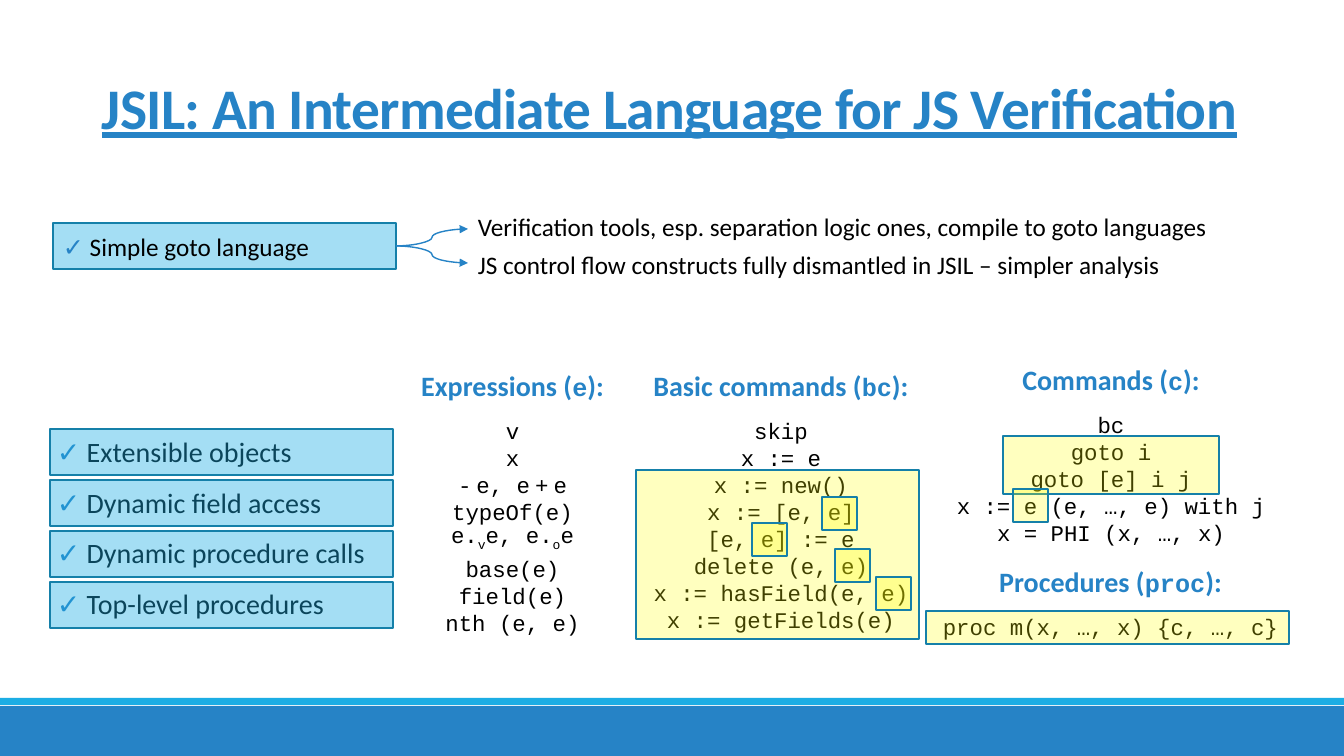
from lxml import etree
from pptx import Presentation
from pptx import util as u
from pptx.dml.color import RGBColor
from pptx.enum import shapes, text
from pptx.oxml import ns

SCALE = u.Inches(1) / 100.8
BLUE = RGBColor(0x26, 0x83, 0xC6)
CYAN = RGBColor(0x1C, 0xAD, 0xE4)
EDGE = RGBColor(0x15, 0x80, 0xA9)
YELLOW = RGBColor(0xFF, 0xFF, 0x00)
BLACK = RGBColor(0, 0, 0)
SANS, MONO = "Calibri", "Courier New"
CODE_LINE = u.Pt(19.3)
SUB, THIN = "subscript", "narrow space"

EXPRESSIONS = [
    "v", "x",
    [("-", None), (" ", THIN), ("e, e", None), (" ", THIN), ("+", None),
     (" ", THIN), ("e", None)],
    "typeOf(e)",
    [("e.", None), ("v", SUB), ("e, e.", None), ("o", SUB), ("e", None)],
    "base(e)", "field(e)", "nth (e, e)",
]
BASIC_COMMANDS = [
    "skip", "x := e", "x := new()", "x := [e, e]", "[e, e] := e",
    "delete (e, e)", "x := hasField(e, e)", "x := getFields(e)",
]
COMMANDS = ["bc", "goto i", "goto [e] i j", "x := e (e, …, e) with j",
            "x = PHI (x, …, x)"]
PROCEDURES = ["proc m(x, …, x) {c, …, c}"]
FEATURES = ["Extensible objects", "Dynamic field access",
            "Dynamic procedure calls", "Top-level procedures"]
NOTES = [
    "Verification tools, esp. separation logic ones, compile to goto languages",
    "JS control flow constructs fully dismantled in JSIL – simpler analysis",
]


def emu(*pixels):
    """Turn pixel lengths into EMU."""
    return [round(p * SCALE) for p in pixels]


def add_box(s, box, fill, alpha=None, line=EDGE):
    """Add a filled rectangle, optionally translucent and outlined."""
    sp = s.shapes.add_shape(shapes.MSO_SHAPE.RECTANGLE, *emu(*box))
    sp.shadow.inherit = False
    sp.fill.solid()
    sp.fill.fore_color.rgb = fill
    if alpha:
        color = sp.fill._xPr.find(".//" + ns.qn("a:srgbClr"))
        etree.SubElement(color, ns.qn("a:alpha"), val=str(alpha * 1000))
    if line:
        sp.line.color.rgb = line
        sp.line.width = u.Pt(1.25)
    else:
        sp.line.fill.background()


def add_text_frame(s, box):
    """Add a wrapping text box and return its text frame."""
    tf = s.shapes.add_textbox(*emu(*box)).text_frame
    tf.word_wrap = True
    return tf


def add_paragraph(tf, size, font=SANS, color=BLACK, bold=False, align=None, after=0):
    """Return a styled paragraph, using the empty first one when possible."""
    first = tf.paragraphs[0]
    p = tf.add_paragraph() if first.runs else first
    p.font.size, p.font.name, p.font.bold = u.Pt(size), font, bold
    p.font.color.rgb = color
    p.alignment, p.space_after = align, u.Pt(after)
    return p


def add_run(p, words):
    """Append a run to a paragraph and return it."""
    r = p.add_run()
    r.text = words
    return r


def add_title(s, words, box):
    """Add the underlined slide title."""
    tf = add_text_frame(s, box)
    tf.vertical_anchor = text.MSO_ANCHOR.BOTTOM
    p = add_paragraph(tf, 41, color=BLUE, bold=True, align=text.PP_ALIGN.CENTER)
    p.line_spacing = 0.85
    p.font.underline = True
    r = add_run(p, words)
    r.font._element.set("spc", "-50")


def add_ticks(s, items, box, size, after=0):
    """Add a list whose items each start with a blue tick."""
    tf = add_text_frame(s, box)
    for item in items:
        p = add_paragraph(tf, size, after=after)
        tick = add_run(p, "✓")
        tick.font.bold = True
        tick.font.color.rgb = BLUE
        add_run(p, " " + item)


def add_notes(s, lines, box):
    """Add plain lines of explanation."""
    tf = add_text_frame(s, box)
    for line in lines:
        add_run(add_paragraph(tf, 18, after=6), line)


def add_grammar(s, name, symbol, lines, box):
    """Add a grammar column: heading with its symbol, then code lines."""
    tf = add_text_frame(s, box)
    center = text.PP_ALIGN.CENTER
    p = add_paragraph(tf, 20, color=BLUE, bold=True, align=center, after=10)
    add_run(p, name + " (")
    r = add_run(p, symbol)
    r.font.name, r.font.size = MONO, u.Pt(18)
    add_run(p, "):")
    for line in lines:
        p = add_paragraph(tf, 16, MONO, align=center)
        p.line_spacing = CODE_LINE
        for words, kind in [(line, None)] if isinstance(line, str) else line:
            r = add_run(p, words)
            if kind == SUB:
                r.font._element.set("baseline", "-25000")
                p.space_after = u.Pt(2)
            elif kind == THIN:
                r.font.name = SANS


def add_arrow(s, start, end):
    """Add a curved connector with an arrowhead at its end."""
    c = s.shapes.add_connector(shapes.MSO_CONNECTOR.CURVE, *emu(*start, *end))
    c.line.color.rgb = BLUE
    c.line.width = u.Pt(1)
    etree.SubElement(c.line._get_or_add_ln(), ns.qn("a:tailEnd"), type="triangle")
    etree.SubElement(c._element.spPr, ns.qn("a:effectLst"))


def main():
    """Build the slide and save it."""
    prs = Presentation()
    prs.slide_width, prs.slide_height = emu(1344, 756)
    s = prs.slides.add_slide(prs.slide_layouts[6])

    add_box(s, (0, 706, 1344, 50), BLUE, line=None)
    add_box(s, (0, 698, 1344, 7), CYAN, line=None)
    add_title(s, "JSIL: An Intermediate Language for JS Verification",
              (89, 62, 1161, 84))

    add_box(s, (53, 223, 343, 46), CYAN, 40)
    add_ticks(s, ["Simple goto language"], (53, 226, 342, 40), 18)
    add_notes(s, NOTES, (468, 206, 805, 80))
    for y in (229, 263):
        add_arrow(s, (396, 246), (468, y))

    add_ticks(s, FEATURES, (47, 430, 352, 197), 20, after=12)
    for i in range(len(FEATURES)):
        add_box(s, (50, 429 + 51 * i, 343, 46), CYAN, 40)

    add_grammar(s, "Expressions", "e", EXPRESSIONS, (402, 364, 221, 275))
    add_grammar(s, "Basic commands", "bc", BASIC_COMMANDS, (641, 364, 280, 275))
    add_grammar(s, "Commands", "c", COMMANDS, (943, 358, 336, 194))
    add_grammar(s, "Procedures", "proc", PROCEDURES, (919, 560, 383, 85))

    for box in ((636, 470, 283, 169), (1003, 436, 216, 58), (926, 611, 363, 33)):
        add_box(s, box, YELLOW, 25)
    for x, y in ((1013, 489), (835, 549), (822, 497), (752, 523), (876, 577)):
        add_box(s, (x, y, 35, 33), YELLOW, 25)

    prs.save("out.pptx")


main()
